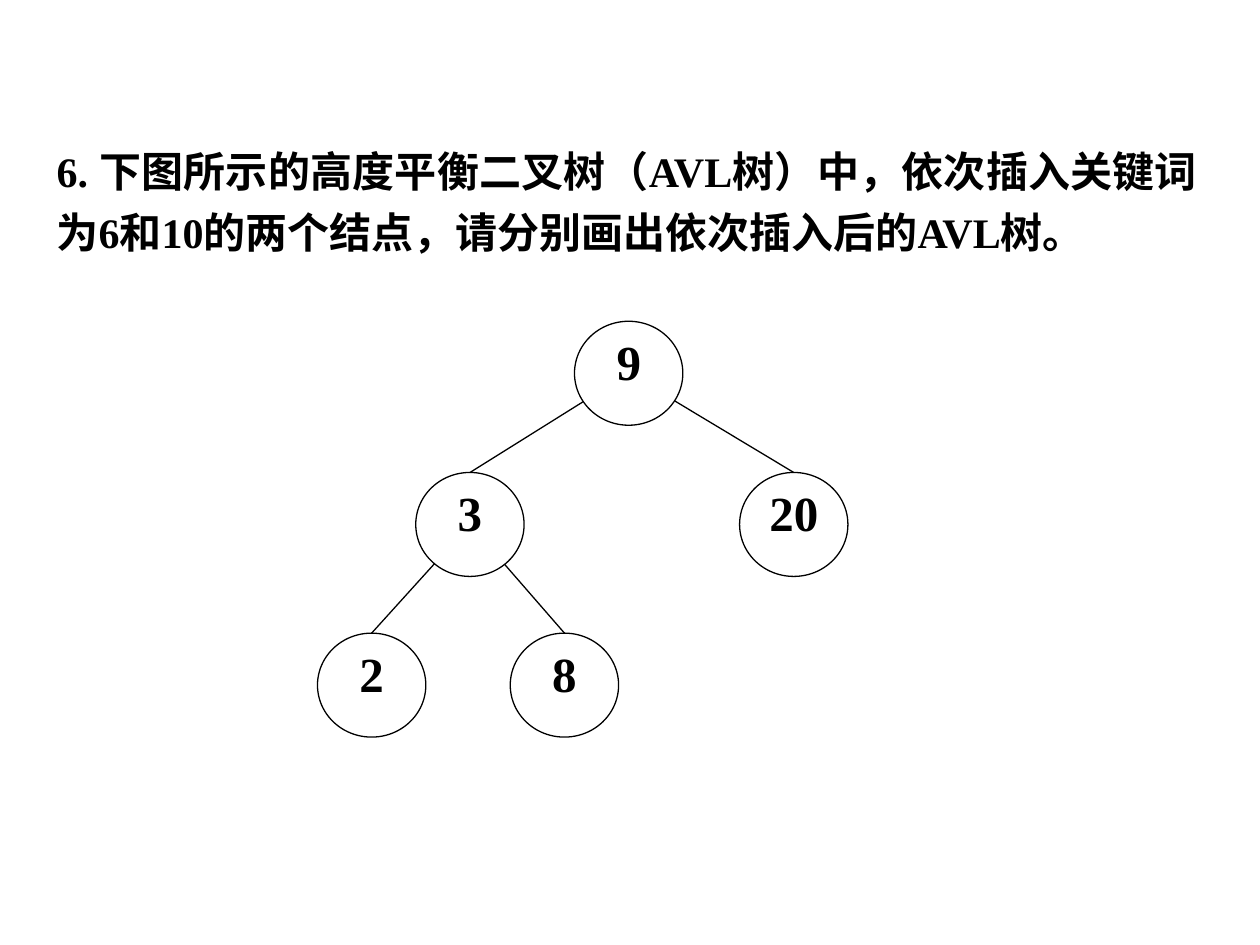
from dataclasses import dataclass
from math import hypot

from lxml.etree import SubElement
from pptx import Presentation
from pptx.dml.color import RGBColor
from pptx.enum.shapes import MSO_CONNECTOR, MSO_SHAPE
from pptx.enum.text import PP_ALIGN
from pptx.oxml.ns import qn
from pptx.util import Inches, Pt


@dataclass(frozen=True)
class Theme:
    font: str = "Times New Roman"
    ink: RGBColor = RGBColor(0, 0, 0)
    paper: RGBColor = RGBColor(255, 255, 255)
    question_size: int = 24
    key_size: int = 28
    line_width: float = 0.75


THEME = Theme()
WIDTH, HEIGHT = 10, 7.5
NODE_WIDTH, NODE_HEIGHT = 0.086 * WIDTH, 0.11 * HEIGHT
LABEL_WIDTH, LABEL_HEIGHT = 0.04 * WIDTH, 0.06 * HEIGHT
LABEL_DROP = 0.025 * HEIGHT
LEVELS = [0.34, 0.5, 0.67]
QUESTION = "6. 下图所示的高度平衡二叉树（AVL树）中，依次插入关键词为6和10的两个结点，请分别画出依次插入后的AVL树。"

NODES = {
    "9": (0.5, 0),
    "3": (0.37, 1),
    "20": (0.63, 1),
    "2": (0.3, 2),
    "8": (0.45, 2),
}
NODES.update({"9": (0.499, 0), "3": (0.373, 1), "2": (0.295, 2), "8": (0.448, 2)})
EDGES = [("9", "3"), ("9", "20"), ("3", "2"), ("3", "8")]


def node_top(key):
    column, level = NODES[key]
    return column * WIDTH, LEVELS[level] * HEIGHT


def add_text(page, text, left, top, width, height, *, size, align, spacing, margin=0.0, side=0.0):
    box = page.shapes.add_textbox(Inches(left), Inches(top), Inches(width), Inches(height))
    frame = box.text_frame
    frame.word_wrap = True
    frame.margin_left = frame.margin_right = Inches(side)
    frame.margin_top = frame.margin_bottom = Inches(margin)
    para = frame.paragraphs[0]
    para.alignment = align
    para.line_spacing = spacing
    span = para.add_run()
    span.text = text
    span.font.name = THEME.font
    span.font.size = Pt(size)
    span.font.bold = True
    span.font.color.rgb = THEME.ink


def style_line(line):
    line.color.rgb = THEME.ink
    line.width = Pt(THEME.line_width)


def add_edge(page, parent, child):
    parent_x, parent_top = node_top(parent)
    child_x, child_top = node_top(child)
    parent_y = parent_top + NODE_HEIGHT / 2
    run, rise = child_x - parent_x, child_top - parent_y
    share = 1 / hypot(run / (NODE_WIDTH / 2), rise / (NODE_HEIGHT / 2))
    edge = page.shapes.add_connector(
        MSO_CONNECTOR.STRAIGHT,
        Inches(parent_x + run * share), Inches(parent_y + rise * share),
        Inches(child_x), Inches(child_top),
    )
    style_line(edge.line)
    SubElement(edge.element.spPr, qn("a:effectLst"))


def add_node(page, key):
    center, top = node_top(key)
    circle = page.shapes.add_shape(
        MSO_SHAPE.OVAL, Inches(center - NODE_WIDTH / 2), Inches(top),
        Inches(NODE_WIDTH), Inches(NODE_HEIGHT),
    )
    circle.shadow.inherit = False
    circle.fill.solid()
    circle.fill.fore_color.rgb = THEME.paper
    style_line(circle.line)
    add_text(
        page, key, center - LABEL_WIDTH / 2, top + LABEL_DROP, LABEL_WIDTH, LABEL_HEIGHT,
        size=THEME.key_size, align=PP_ALIGN.CENTER, spacing=0.76,
    )


def main():
    deck = Presentation()
    deck.slide_width, deck.slide_height = Inches(WIDTH), Inches(HEIGHT)
    page = deck.slides.add_slide(deck.slide_layouts[6])
    add_text(
        page, QUESTION, 0.035 * WIDTH, 0.137 * HEIGHT, 0.925 * WIDTH, 0.163 * HEIGHT,
        size=THEME.question_size, align=PP_ALIGN.JUSTIFY, spacing=1.2, margin=0.05, side=0.1,
    )
    for parent, child in EDGES:
        add_edge(page, parent, child)
    for key in NODES:
        add_node(page, key)
    deck.save("out.pptx")


if __name__ == "__main__":
    main()
